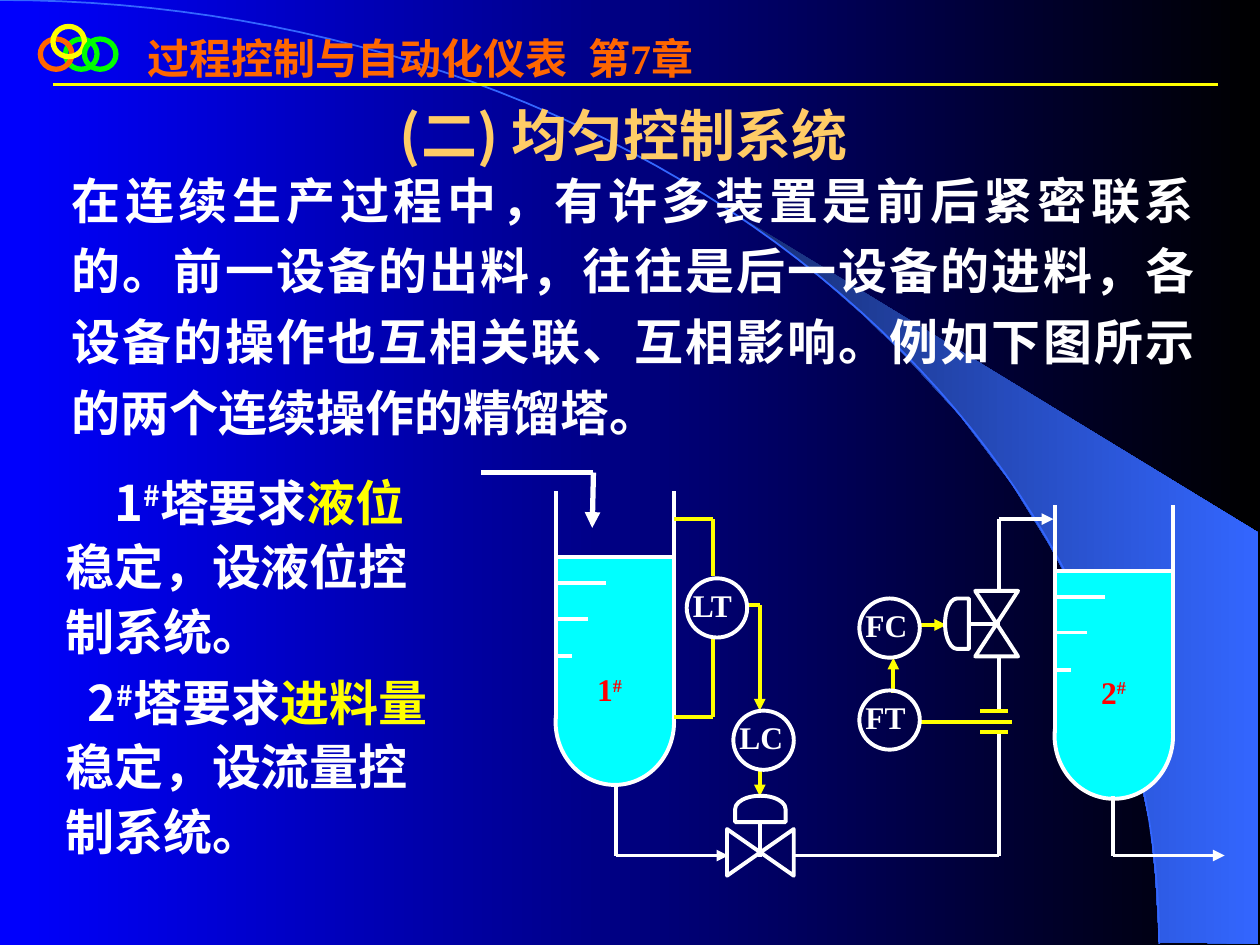
"""Build a slide on uniform control of two distillation columns in series."""
import math

from lxml import etree
from pptx import Presentation
from pptx.dml.color import RGBColor
from pptx.enum.shapes import MSO_CONNECTOR, MSO_SHAPE
from pptx.enum.text import MSO_ANCHOR, PP_ALIGN
from pptx.oxml.ns import qn
from pptx.util import Inches, Pt

STRAIGHT = MSO_CONNECTOR.STRAIGHT
OVAL, RECT = MSO_SHAPE.OVAL, MSO_SHAPE.RECTANGLE
COLLATE, DELAY = MSO_SHAPE.FLOWCHART_COLLATE, MSO_SHAPE.FLOWCHART_DELAY
LEFT, CENTER, JUSTIFY = PP_ALIGN.LEFT, PP_ALIGN.CENTER, PP_ALIGN.JUSTIFY
TOP, MIDDLE = MSO_ANCHOR.TOP, MSO_ANCHOR.MIDDLE

THEME = {
    "white": "FFFFFF", "yellow": "FFFF00", "green": "00FF00", "orange": "FF6600",
    "gold": "FFCC66", "red": "FF0000", "liquid": "00FFFF", "arc": "3366FF",
    "beam": ("182F76", "3366FF"), "backdrop": ("0000FF", "000000"),
    "cjk": "Noto Sans CJK SC", "latin": "Times New Roman",
    "title": 32, "body": 28, "header": 24, "label": 18,
    "thin": 1, "rule": 1.5, "pipe": 2.25, "thick": 3,
}

HEADER = "过程控制与自动化仪表\t第7章"
TITLE = "(二) 均匀控制系统"
INTRO = ("在连续生产过程中，有许多装置是前后紧密联系的。前一设备的出料，往往是后一设备的进料，"
         "各设备的操作也互相关联、互相影响。例如下图所示的两个连续操作的精馏塔。")
REQUIREMENTS = [
    (0.39, [("1", ""), ("#", "super"), ("塔要求", ""), ("液位", "yellow"), ("稳定，设液位控制系统。", "")]),
    (0.18, [("2", ""), ("#", "super"), ("塔要求", ""), ("进料量", "yellow"), ("稳定，设流量控制系统。", "")]),
]
RINGS = [(0.52, 0.31, "green"), (0.32, 0.31, "orange"), (0.42, 0.21, "yellow"), (0.67, 0.31, "green")]
BEAM = [(9.2, 7.48), (9.99, 7.49), (9.99, 4.23), (5.89, 1.73), (6.24, 1.99), (6.53, 2.22),
        (6.85, 2.5), (7.16, 2.8), (7.62, 3.3), (8.03, 3.84), (8.32, 4.31), (8.58, 4.79),
        (8.78, 5.28), (8.93, 5.72), (9.03, 6.09), (9.13, 6.56), (9.17, 6.96)]
COLUMNS = [("1", 4.41, 3.9, 0.23, 1.31), ("2", 8.37, 4.01, 0.27, 1.22)]
LEVEL_MARKS = [(0.73, 0.38), (1.01, 0.24), (1.31, 0.11)]
INSTRUMENTS = [("LC", 5.82, 5.64), ("FT", 6.82, 5.48), ("FC", 6.82, 4.75), ("LT", 5.45, 4.59)]
VALVE_PARTS = [
    (COLLATE, 5.85, 6.5, 0.37, 0.53, 270), (DELAY, 5.93, 6.22, 0.21, 0.4, 270),
    (COLLATE, 7.74, 4.69, 0.34, 0.52, 180), (DELAY, 7.5, 4.75, 0.19, 0.4, 180),
]
PIPES = [
    ([(4.89, 6.22), (4.89, 6.79), (5.78, 6.79)], True),
    ([(6.29, 6.79), (7.93, 6.79), (7.93, 5.8)], False),
    ([(7.93, 5.64), (7.93, 5.22)], False),
    ([(7.93, 4.69), (7.93, 4.12), (8.36, 4.12)], True),
    ([(8.83, 6.32), (8.83, 6.79), (9.72, 6.79)], True),
    ([(6.03, 6.53), (6.03, 6.8)], False),
    ([(7.7, 4.95), (7.94, 4.95)], False),
]
FEED = [(3.82, 3.75), (4.71, 3.75), (4.7, 4.19)]
SIGNALS = [
    ([(5.35, 4.12), (5.66, 4.12), (5.66, 4.57)], False),
    ([(5.35, 5.69), (5.66, 5.69), (5.66, 5.06)], False),
    ([(5.93, 4.8), (6.03, 4.8), (6.03, 5.64)], True),
    ([(6.03, 6.11), (6.03, 6.32)], True),
    ([(7.78, 5.64), (8, 5.64)], False),
    ([(7.78, 5.81), (8, 5.81)], False),
    ([(8.03, 5.73), (7.3, 5.73)], False),
    ([(7.09, 5.5), (7.09, 5.22)], True),
    ([(7.3, 4.96), (7.51, 4.96)], True),
]


def rgb(name):
    return RGBColor.from_string(THEME[name])


def shade(fill, name):
    fill.gradient()
    fill.gradient_angle = 0
    for stop, tone in zip(fill.gradient_stops, THEME[name]):
        stop.color.rgb = RGBColor.from_string(tone)


def finish(shape, fill=None, line=None, width="pipe"):
    shape.shadow.inherit = False
    if fill:
        shape.fill.solid()
        shape.fill.fore_color.rgb = rgb(fill)
    else:
        shape.fill.background()
    if line:
        shape.line.color.rgb = rgb(line)
        shape.line.width = Pt(THEME[width])
    else:
        shape.line.fill.background()


def add_part(slide, kind, x, y, w, h, turn=0, **style):
    part = slide.shapes.add_shape(kind, Inches(x), Inches(y), Inches(w), Inches(h))
    part.rotation = turn
    finish(part, **style)


def add_outline(slide, points, close):
    corners = [(Inches(x), Inches(y)) for x, y in points]
    builder = slide.shapes.build_freeform(*corners[0])
    builder.add_line_segments(corners[1:], close=close)
    return builder.convert_to_shape()


def add_route(slide, points, color, arrow=False, width="pipe"):
    for start, end in zip(points, points[1:]):
        leg = slide.shapes.add_connector(STRAIGHT, *(Inches(v) for v in start + end))
        leg.line.color.rgb = rgb(color)
        leg.line.width = Pt(THEME[width])
        properties = leg.element.spPr
        if arrow and end == points[-1]:
            etree.SubElement(properties.find(qn("a:ln")), qn("a:tailEnd"), type="triangle")
        etree.SubElement(properties, qn("a:effectLst"))


def add_words(slide, box, paragraphs, size, color, face, align=LEFT, spacing=1.0,
              before=0, anchor=TOP, tab=None):
    frame = slide.shapes.add_textbox(*(Inches(v) for v in box)).text_frame
    frame.word_wrap = True
    frame.vertical_anchor = anchor
    for number, (indent, runs) in enumerate(paragraphs):
        para = frame.add_paragraph() if number else frame.paragraphs[0]
        para.alignment = align
        para.line_spacing = spacing
        para.space_before = Pt(before if number else 0)
        properties = para._p.get_or_add_pPr()
        properties.set("marL", "0")
        properties.set("indent", str(Inches(indent)))
        properties.set("hangingPunct", "0")
        if tab:
            stops = etree.SubElement(properties, qn("a:tabLst"))
            etree.SubElement(stops, qn("a:tab"), pos=str(Inches(tab)), algn="l")
        para.font.size = Pt(THEME[size])
        para.font.bold = True
        para.font.color.rgb = rgb(color)
        para.font.name = THEME[face]
        for words, mark in runs:
            run = para.add_run()
            run.text = words
            if mark == "super":
                run.font._element.set("baseline", "30000")
            elif mark:
                run.font.color.rgb = rgb(mark)


def add_column(slide, name, x, y, label_x, label_y):
    add_part(slide, OVAL, x, y + 1.33, 0.94, 1, fill="liquid", line="white")
    add_part(slide, RECT, x - 0.01, y + 0.53, 0.95, 1.27, fill="liquid")
    for wall in (x, x + 0.94):
        add_route(slide, [(wall, y), (wall, y + 1.81)], "white")
    for drop, length in [(0.52, 0.92)] + LEVEL_MARKS:
        add_route(slide, [(x + 0.02, y + drop), (x + 0.02 + length, y + drop)], "white")
    add_words(slide, (x + label_x, y + label_y, 0.68, 0.63), [(0, [(name, ""), ("#", "super")])],
              "label", "red", "latin", JUSTIFY, 1.2)


def main():
    deck = Presentation()
    deck.slide_width, deck.slide_height = Inches(10), Inches(7.5)
    slide = deck.slides.add_slide(deck.slide_layouts[6])
    shade(slide.background.fill, "backdrop")

    beam = add_outline(slide, BEAM, True)
    finish(beam)
    shade(beam.fill, "beam")
    angles = [math.radians(step * 1.5) for step in range(61)]
    arc = [(9.2 * math.sin(a), 7.49 * (1 - math.cos(a))) for a in angles]
    finish(add_outline(slide, arc, False), line="arc", width="thin")

    add_route(slide, [(0.42, 0.67), (9.67, 0.67)], "yellow", width="rule")
    for x, y, color in RINGS:
        add_part(slide, OVAL, x, y, 0.25, 0.24, line=color, width="thick")
    add_words(slide, (1.07, 0.21, 8.42, 0.5), [(0, [(HEADER, "")])],
              "header", "orange", "latin", tab=3.61)
    add_words(slide, (1.31, 0.75, 7.28, 0.64), [(0, [(TITLE, "")])],
              "title", "gold", "cjk", CENTER)
    add_words(slide, (0.47, 1.21, 9.11, 2.34), [(0, [(INTRO, "")])],
              "body", "white", "cjk", JUSTIFY, 1.2)

    for column in COLUMNS:
        add_column(slide, *column)
    for color, routes in (("white", PIPES), ("yellow", SIGNALS)):
        for points, arrow in routes:
            add_route(slide, points, color, arrow)
    add_route(slide, FEED, "white", True, "thick")
    for part in VALVE_PARTS:
        add_part(slide, *part, line="white")
    for name, x, y in INSTRUMENTS:
        add_part(slide, OVAL, x, y, 0.48, 0.47, line="white")
        add_words(slide, (x - 0.05, y - 0.05, 0.68, 0.4), [(0, [(name, "")])],
                  "label", "white", "latin", JUSTIFY, 1.2)

    add_words(slide, (0.42, 3.65, 3.1, 3.23), REQUIREMENTS, "body", "white", "cjk",
              spacing=1.1, before=3.5, anchor=MIDDLE)
    deck.save("out.pptx")


if __name__ == "__main__":
    main()
